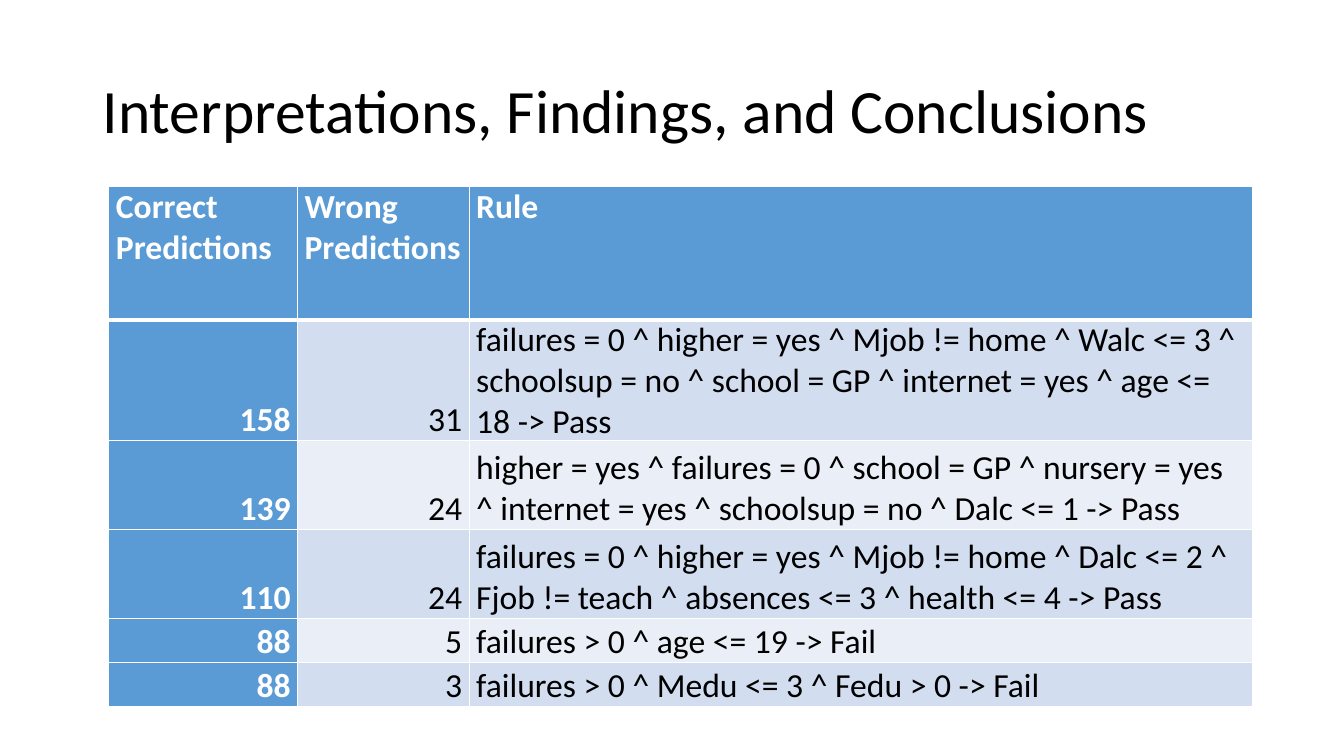
"""Build a slide that tabulates the prediction rules with their correct and wrong counts."""
from lxml.etree import SubElement
from pptx import Presentation
from pptx.dml.color import RGBColor
from pptx.enum.text import MSO_ANCHOR, PP_ALIGN
from pptx.oxml.ns import qn
from pptx.util import Inches, Pt

HEADINGS = ("Correct Predictions", "Wrong Predictions", "Rule")
RULES = (
    ("158", "31", "failures = 0 ^ higher = yes ^ Mjob != home ^ Walc <= 3 ^ "
                  "schoolsup = no ^ school = GP ^ internet = yes ^ age <= 18 -> Pass"),
    ("139", "24", "higher = yes ^ failures = 0 ^ school = GP ^ nursery = yes ^ "
                  "internet = yes ^ schoolsup = no ^ Dalc <= 1 -> Pass"),
    ("110", "24", "failures = 0 ^ higher = yes ^ Mjob != home ^ Dalc <= 2 ^ "
                  "Fjob != teach ^ absences <= 3 ^ health <= 4 -> Pass"),
    ("88", "5", "failures > 0 ^ age <= 19 -> Fail"),
    ("88", "3", "failures > 0 ^ Medu <= 3 ^ Fedu > 0 -> Fail"),
)
COLUMN_SHARES = (16.5, 15, 68.5)
ROW_LINES = (3, 2, 2, 2, 1, 1)


def color(code):
    return RGBColor.from_string(code)


class Deck:
    """Holds the style and the current slide; places are percentages of the slide."""

    font = "Calibri"
    ink, paper, accent = "000000", "FFFFFF", "5B9BD5"
    bands = ("D2DEEF", "EAEFF7")

    def __init__(self):
        self.show = Presentation()
        self.show.slide_width, self.show.slide_height = Inches(13.33), Inches(7.5)
        self.slide = self.show.slides.add_slide(self.show.slide_layouts[6])

    def place(self, left, top, width, height):
        across, down = self.show.slide_width / 100, self.show.slide_height / 100
        return [round(n) for n in (left * across, top * down, width * across, height * down)]

    def wording(self, frame, words, size, ink, bold=False, align=PP_ALIGN.LEFT):
        frame.word_wrap = True
        paragraph = frame.paragraphs[0]
        paragraph.text, paragraph.alignment = words, align
        font = paragraph.font
        font.name, font.size, font.bold = self.font, Pt(size), bold
        font.color.rgb = color(ink)
        return paragraph

    def title(self, words, *area):
        frame = self.slide.shapes.add_textbox(*self.place(*area)).text_frame
        frame.vertical_anchor = MSO_ANCHOR.MIDDLE
        self.wording(frame, words, 44, self.ink).line_spacing = 0.9

    def borders(self, cell, top, bottom):
        properties = cell._tc.get_or_add_tcPr()
        for index, (side, width) in enumerate(zip("LRTB", (1, 1, top, bottom))):
            line = SubElement(properties, qn(f"a:ln{side}"), w=str(Pt(width)))
            fill = SubElement(line, qn("a:solidFill"))
            SubElement(fill, qn("a:srgbClr"), val=self.paper)
            properties.insert(index, line)

    def cell(self, cell, words, row, column):
        heading, strong = row == 0, row == 0 or column == 0
        cell.margin_left = cell.margin_right = Inches(0.07)
        cell.margin_top = cell.margin_bottom = 0
        cell.vertical_anchor = MSO_ANCHOR.TOP if heading else MSO_ANCHOR.BOTTOM
        cell.fill.solid()
        cell.fill.fore_color.rgb = color(self.accent if strong else self.bands[(row - 1) % 2])
        align = PP_ALIGN.JUSTIFY if heading else PP_ALIGN.RIGHT if column < 2 else PP_ALIGN.LEFT
        self.wording(cell.text_frame, words, 24, self.paper if strong else self.ink, strong, align)
        self.borders(cell, 3 if row == 1 else 1, 3 if heading else 1)

    def table(self, rows, column_shares, row_lines, *area):
        left, top, width, height = self.place(*area)
        table = self.slide.shapes.add_table(
            len(rows), len(column_shares), left, top, width, height).table
        table.first_col = True
        for column, share in zip(table.columns, column_shares):
            column.width = round(width * share / sum(column_shares))
        for row, lines in zip(table.rows, row_lines):
            row.height = round(height * lines / sum(row_lines))
        for r, row in enumerate(rows):
            for c, words in enumerate(row):
                self.cell(table.cell(r, c), words, r, c)


deck = Deck()
deck.title("Interpretations, Findings, and Conclusions", 6.9, 5.33, 86.27, 19.33)
deck.table((HEADINGS, *RULES), COLUMN_SHARES, ROW_LINES, 8.1, 24.7, 85.1, 64.53)
deck.show.save("out.pptx")
